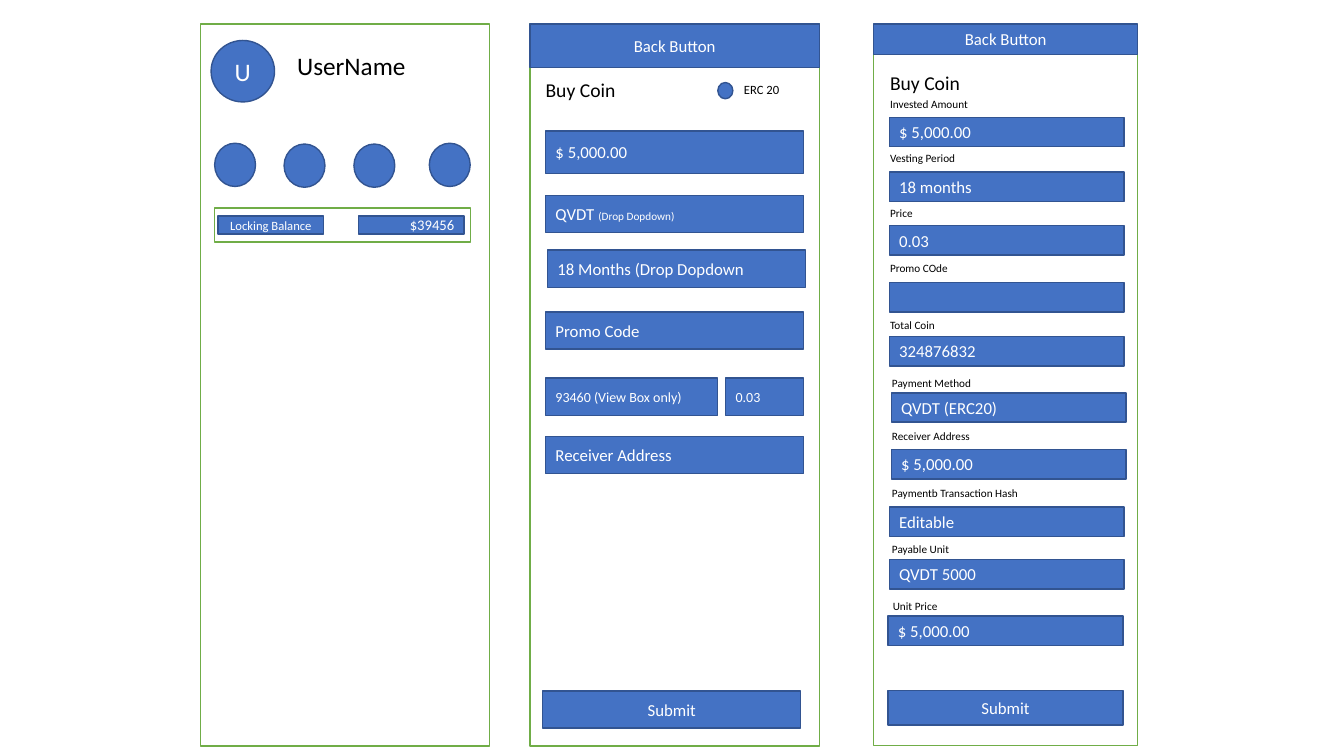
from dataclasses import dataclass

from pptx import Presentation
from pptx.dml.color import RGBColor
from pptx.enum.shapes import MSO_SHAPE as Preset
from pptx.enum.text import MSO_ANCHOR as Anchor, MSO_AUTO_SIZE as AutoSize, PP_ALIGN as Align
from pptx.util import Cm, Pt

FONT = "Calibri"
WHITE, BLACK = "FFFFFF", "000000"
BLUE, NAVY, GREEN = "4472C4", "325491", "70AD47"


@dataclass(frozen=True)
class Span:
    text: str
    size: float = 12


@dataclass(frozen=True)
class Block:
    left: float
    top: float
    width: float
    height: float
    spans: tuple[Span, ...] = ()
    align: Align = Align.LEFT
    preset: Preset = Preset.RECTANGLE
    fill: str = BLUE
    line: str = NAVY


@dataclass(frozen=True)
class Label:
    left: float
    top: float
    width: float
    height: float
    span: Span


@dataclass(frozen=True)
class Entry:
    caption: str
    value: str
    caption_left: float
    caption_top: float
    caption_width: float
    field_left: float
    field_top: float


def color(value: str) -> RGBColor:
    return RGBColor.from_string(value)


def write(frame, spans: tuple[Span, ...], ink: str, align: Align) -> None:
    frame.word_wrap = True
    para = frame.paragraphs[0]
    para.alignment = align
    for span in spans:
        run = para.add_run()
        run.text = span.text
        run.font.name = FONT
        run.font.size = Pt(span.size)
        run.font.color.rgb = color(ink)


def draw_block(page, block: Block) -> None:
    shape = page.shapes.add_shape(
        block.preset, Cm(block.left), Cm(block.top), Cm(block.width), Cm(block.height))
    shape.shadow.inherit = False
    shape.fill.solid()
    shape.fill.fore_color.rgb = color(block.fill)
    shape.line.color.rgb = color(block.line)
    shape.line.width = Pt(1)
    shape.text_frame.vertical_anchor = Anchor.MIDDLE
    write(shape.text_frame, block.spans, WHITE, block.align)


def draw_label(page, label: Label) -> None:
    box = page.shapes.add_textbox(
        Cm(label.left), Cm(label.top), Cm(label.width), Cm(label.height))
    write(box.text_frame, (label.span,), BLACK, Align.LEFT)
    box.text_frame.auto_size = AutoSize.SHAPE_TO_FIT_TEXT


def frame_block(left: float, top: float, width: float, height: float) -> Block:
    return Block(left, top, width, height, fill=WHITE, line=GREEN)


def circle(left: float, top: float, width: float, height: float, *spans: Span) -> Block:
    return Block(left, top, width, height, spans, Align.CENTER, Preset.OVAL)


def button(left: float, top: float, width: float, height: float, text: str) -> Block:
    return Block(left, top, width, height, (Span(text),), Align.CENTER)


def buy_field(top: float, *spans: Span, left: float = 13.75,
              width: float = 6.5, height: float = 0.94) -> Block:
    return Block(left, top, width, height, spans)


PROFILE = [
    frame_block(5.05, 0.61, 7.29, 18.19),
    circle(5.32, 1.02, 1.6, 1.55, Span("U", 18)),
    circle(5.41, 3.61, 1.03, 1.09),
    circle(7.16, 3.63, 1.03, 1.09),
    circle(8.92, 3.63, 1.03, 1.09),
    circle(10.82, 3.61, 1.03, 1.09),
    frame_block(5.41, 5.24, 6.45, 0.86),
    Block(5.49, 5.44, 2.67, 0.46, (Span("Locking Balance", 9),), Align.CENTER),
    Block(9.03, 5.44, 2.67, 0.46, (Span("$39456", 10.5),), Align.RIGHT),
]

PURCHASE = [
    frame_block(13.36, 0.61, 7.29, 18.19),
    button(13.36, 0.61, 7.29, 1.09, "Back Button"),
    circle(18.09, 2.08, 0.38, 0.41),
    buy_field(3.3, Span("$ 5,000.00"), height=1.07),
    buy_field(4.92, Span("QVDT "), Span("(Drop Dopdown)", 8)),
    buy_field(6.3, Span("18 Months (Drop Dopdown"), left=13.8),
    buy_field(7.86, Span("Promo Code")),
    buy_field(9.53, Span("93460 (View Box only)", 10), width=4.34),
    buy_field(9.53, Span("0.03", 10), left=18.29, width=1.96),
    buy_field(11, Span("Receiver Address")),
    button(13.68, 17.41, 6.5, 0.94, "Submit"),
]

SUMMARY = [
    frame_block(22.02, 0.84, 6.65, 17.95),
    button(22.02, 0.61, 6.65, 0.76, "Back Button"),
    button(22.38, 17.4, 5.92, 0.87, "Submit"),
]

HEADINGS = [
    Label(7.24, 1.14, 3.48, 1.02, Span("UserName", 18)),
    Label(13.5, 1.85, 3.23, 0.86, Span("Buy Coin", 14)),
    Label(18.5, 1.93, 1.83, 0.64, Span("ERC 20", 9)),
    Label(22.18, 1.65, 2.95, 0.86, Span("Buy Coin", 14)),
]

ENTRIES = [
    Entry("Invested Amount", "$ 5,000.00", 22.18, 2.32, 2.95, 22.41, 2.96),
    Entry("Vesting Period", "18 months", 22.18, 3.68, 2.59, 22.41, 4.34),
    Entry("Price", "0.03", 22.18, 5.08, 1.27, 22.41, 5.69),
    Entry("Promo COde", "", 22.18, 6.45, 2.34, 22.41, 7.12),
    Entry("Total Coin", "324876832", 22.18, 7.9, 2.08, 22.41, 8.48),
    Entry("Payment Method", "QVDT (ERC20)", 22.23, 9.35, 3.07, 22.46, 9.9),
    Entry("Receiver Address", "$ 5,000.00", 22.23, 10.69, 2.95, 22.46, 11.33),
    Entry("Paymentb Transaction Hash", "Editable", 22.23, 12.14, 4.42, 22.41, 12.78),
    Entry("Payable Unit", "QVDT 5000", 22.23, 13.54, 2.34, 22.41, 14.1),
    Entry("Unit Price", "$ 5,000.00", 22.25, 14.99, 1.93, 22.38, 15.52),
]


def draw_entry(page, entry: Entry) -> None:
    spans = (Span(entry.value),) if entry.value else ()
    draw_block(page, Block(entry.field_left, entry.field_top, 5.92, 0.74, spans))
    draw_label(page, Label(entry.caption_left, entry.caption_top,
                           entry.caption_width, 0.61, Span(entry.caption, 8)))


def main() -> None:
    deck = Presentation()
    deck.slide_width, deck.slide_height = Cm(33.87), Cm(19.05)
    page = deck.slides.add_slide(deck.slide_layouts[6])
    for block in PROFILE + PURCHASE + SUMMARY:
        draw_block(page, block)
    for heading in HEADINGS:
        draw_label(page, heading)
    for entry in ENTRIES:
        draw_entry(page, entry)
    deck.save("out.pptx")


if __name__ == "__main__":
    main()
